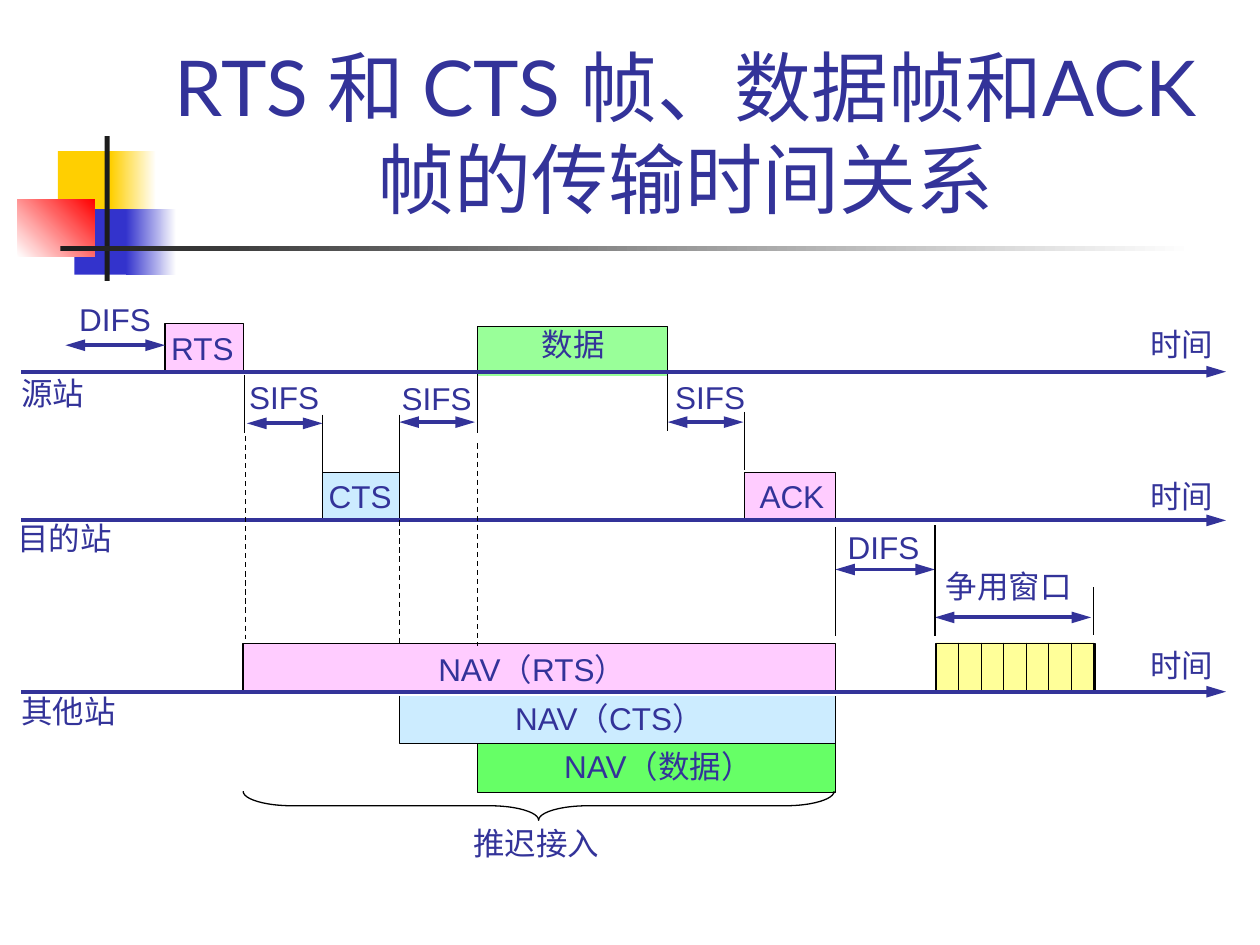
import pptx
import pptx.util
import pptx.dml.color
import pptx.enum.dml
import pptx.enum.shapes
import pptx.enum.text
import pptx.oxml
import pptx.oxml.ns
from pptx.util import Inches

INK = "333399"
BLACK = "000000"
WHITE = "FFFFFF"
PINK = "FFCCFF"
SKY = "CCECFF"


def rgb(color):
    return pptx.dml.color.RGBColor.from_string(color)


def add_line(x1, y1, x2, y2, color=BLACK, width=0.75, arrows=(), dashed=False):
    """Add a straight line; arrows names its arrow ends (headEnd, tailEnd)."""
    line = slide.shapes.add_connector(
        pptx.enum.shapes.MSO_CONNECTOR.STRAIGHT,
        Inches(x1), Inches(y1), Inches(x2), Inches(y2))
    line.line.color.rgb = rgb(color)
    line.line.width = pptx.util.Pt(width)
    if dashed:
        line.line.dash_style = pptx.enum.dml.MSO_LINE.DASH
    properties = line._element.spPr
    for end in arrows:
        arrow = pptx.oxml.ns.qn("a:" + end)
        line.line._get_or_add_ln().append(
            properties.makeelement(arrow, {"type": "triangle", "len": "lg"}))
    properties.append(properties.makeelement(pptx.oxml.ns.qn("a:effectLst"), {}))


presentation = pptx.Presentation()
presentation.slide_width = Inches(10)
presentation.slide_height = Inches(7.5)
slide = presentation.slides.add_slide(presentation.slide_layouts[5])

# Corner decoration and the contention window's ground:
# left, top, width, height, colour, optional second colour, gradient angle
for left, top, width, height, start, end, angle in [
    (0.46, 1.2, 0.48, 0.52, "FFCF01", None, 0),
    (0.88, 1.2, 0.36, 0.52, "FFCF01", WHITE, 0),
    (0.59, 1.66, 0.46, 0.52, "3333CC", None, 0),
    (1, 1.66, 0.4, 0.52, "3333CC", WHITE, 0),
    (0.14, 1.58, 0.61, 0.46, WHITE, "FF0000", 45),
    (0.83, 1.08, 0.04, 1.15, "1C1C1C", None, 0),
    (0.48, 1.95, 9, 0.04, "1C1C1C", WHITE, 0),
    (7.43, 5.1, 1.25, 0.39, "FFFF99", None, 0),
]:
    shape = slide.shapes.add_shape(
        pptx.enum.shapes.MSO_SHAPE.RECTANGLE,
        Inches(left), Inches(top), Inches(width), Inches(height))
    shape.shadow.inherit = False
    shape.line.fill.background()
    if end:
        shape.fill.gradient()
        shape.fill.gradient_angle = angle
        for stop, color in zip(shape.fill.gradient_stops, (start, end)):
            stop.color.rgb = rgb(color)
    else:
        shape.fill.solid()
        shape.fill.fore_color.rgb = rgb(start)

# Title
title = slide.shapes.title
title.left, title.top = Inches(1), Inches(0.23)
title.width, title.height = Inches(8.88), Inches(1.6)
title.text_frame.text = "RTS 和 CTS 帧、数据帧和ACK 帧的传输时间关系"
title.text_frame.auto_size = pptx.enum.text.MSO_AUTO_SIZE.NONE
title.text_frame.vertical_anchor = pptx.enum.text.MSO_ANCHOR.BOTTOM
paragraph = title.text_frame.paragraphs[0]
paragraph.alignment = pptx.enum.text.PP_ALIGN.CENTER
paragraph.font.name = "Lato"
paragraph.font.size = pptx.util.Pt(44)
paragraph.font.color.rgb = rgb(INK)

# Frames, open on one side: left, right, open edge, closed edge, fill
for left, right, open_y, closed_y, color in [
    (3.79, 5.3, 2.98, 2.59, "99FF99"),
    (1.31, 1.93, 2.95, 2.57, PINK),
    (2.56, 3.17, 4.13, 3.75, SKY),
    (5.91, 6.63, 4.13, 3.75, PINK),
    (1.93, 6.63, 5.49, 5.11, PINK),
    (3.79, 6.63, 5.9, 6.29, "66FF66"),
    (3.17, 6.63, 5.52, 5.9, SKY),
    (7.43, 8.69, 5.49, 5.11, None),
]:
    builder = slide.shapes.build_freeform(Inches(left), Inches(open_y))
    corners = [(left, closed_y), (right, closed_y), (right, open_y)]
    builder.add_line_segments(
        [(Inches(x), Inches(y)) for x, y in corners], close=False)
    frame = builder.convert_to_shape()
    frame.shadow.inherit = False
    frame.line.color.rgb = rgb(BLACK)
    frame.line.width = pptx.util.Pt(0.75)
    if color:
        frame.fill.solid()
        frame.fill.fore_color.rgb = rgb(color)
    else:
        frame.fill.background()

# Slots of the contention window
for slot in range(1, 8):
    x = 7.43 + slot * 1.25 / 7
    add_line(x, 5.1, x, 5.49)

# Time axes
for y in (2.95, 4.13, 5.49):
    add_line(0.17, y, 9.73, y, INK, 2.25, ["tailEnd"])

# Intervals
for x1, x2, y in [
    (0.52, 1.31, 2.74), (1.96, 2.56, 3.36), (3.17, 3.77, 3.35),
    (5.3, 5.9, 3.35), (6.63, 7.42, 4.52), (7.42, 8.66, 4.9),
]:
    add_line(x1, y, x2, y, INK, 2.25, ["headEnd", "tailEnd"])

# Interval limits
for x, y1, y2, dashed in [
    (1.94, 2.98, 3.44, False), (2.56, 3.29, 3.75, False),
    (3.17, 3.29, 3.75, False), (3.79, 2.98, 3.44, False),
    (5.3, 2.97, 3.42, False), (5.91, 3.27, 3.73, False),
    (6.63, 4.18, 5.05, False), (7.42, 4.17, 5.05, False),
    (8.68, 4.66, 5.04, False), (1.95, 3.46, 5.07, True),
    (3.17, 4.13, 5.13, True), (3.79, 3.52, 5.13, True),
]:
    add_line(x, y1, x, y2, dashed=dashed)

# Brace under the deferral period
brace = slide.shapes.add_shape(
    pptx.enum.shapes.MSO_SHAPE.LEFT_BRACE,
    Inches(4.16), Inches(4.05), Inches(0.23), Inches(4.69))
brace.rotation = 270
brace.adjustments[0] = 1.7
brace.shadow.inherit = False
brace.fill.background()
brace.line.color.rgb = rgb(BLACK)
brace.line.width = pptx.util.Pt(0.75)

# Labels
for text, left, top, width in [
    ("时间", 9.03, 2.53, 0.7), ("时间", 9.03, 3.74, 0.7),
    ("时间", 9.03, 5.08, 0.7), ("源站", 0.07, 2.92, 0.7),
    ("目的站", 0.04, 4.07, 0.95), ("其他站", 0.07, 5.44, 0.95),
    ("DIFS", 0.53, 2.33, 0.8), ("DIFS", 6.63, 4.14, 0.8),
    ("SIFS", 1.88, 2.95, 0.8), ("SIFS", 3.09, 2.96, 0.8),
    ("SIFS", 5.26, 2.95, 0.8), ("RTS", 1.26, 2.56, 0.75),
    ("CTS", 2.51, 3.74, 0.75), ("ACK", 5.93, 3.74, 0.8),
    ("数据", 4.2, 2.53, 0.7), ("NAV（RTS）", 3.38, 5.11, 1.89),
    ("NAV（CTS）", 3.99, 5.5, 1.89), ("NAV（数据）", 4.38, 5.88, 1.77),
    ("争用窗口", 7.41, 4.45, 1.2), ("推迟接入", 3.66, 6.49, 1.2),
]:
    label = slide.shapes.add_textbox(
        Inches(left), Inches(top), Inches(width), Inches(0.4))
    label.text_frame.word_wrap = False
    label.text_frame.auto_size = pptx.enum.text.MSO_AUTO_SIZE.SHAPE_TO_FIT_TEXT
    label.text_frame.text = text
    paragraph = label.text_frame.paragraphs[0]
    paragraph.font.name = "Arial"
    paragraph.font.size = pptx.util.Pt(18)
    paragraph.font.color.rgb = rgb(INK)

presentation.save("out.pptx")
